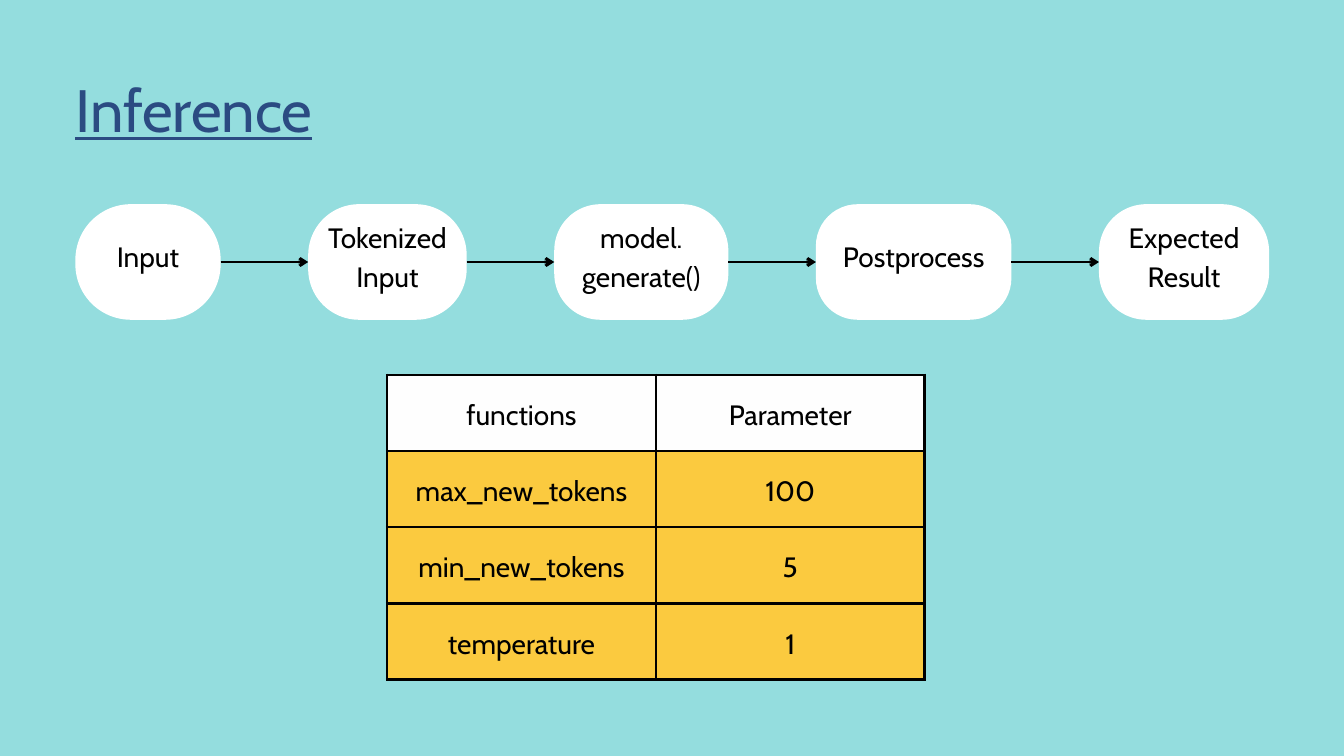
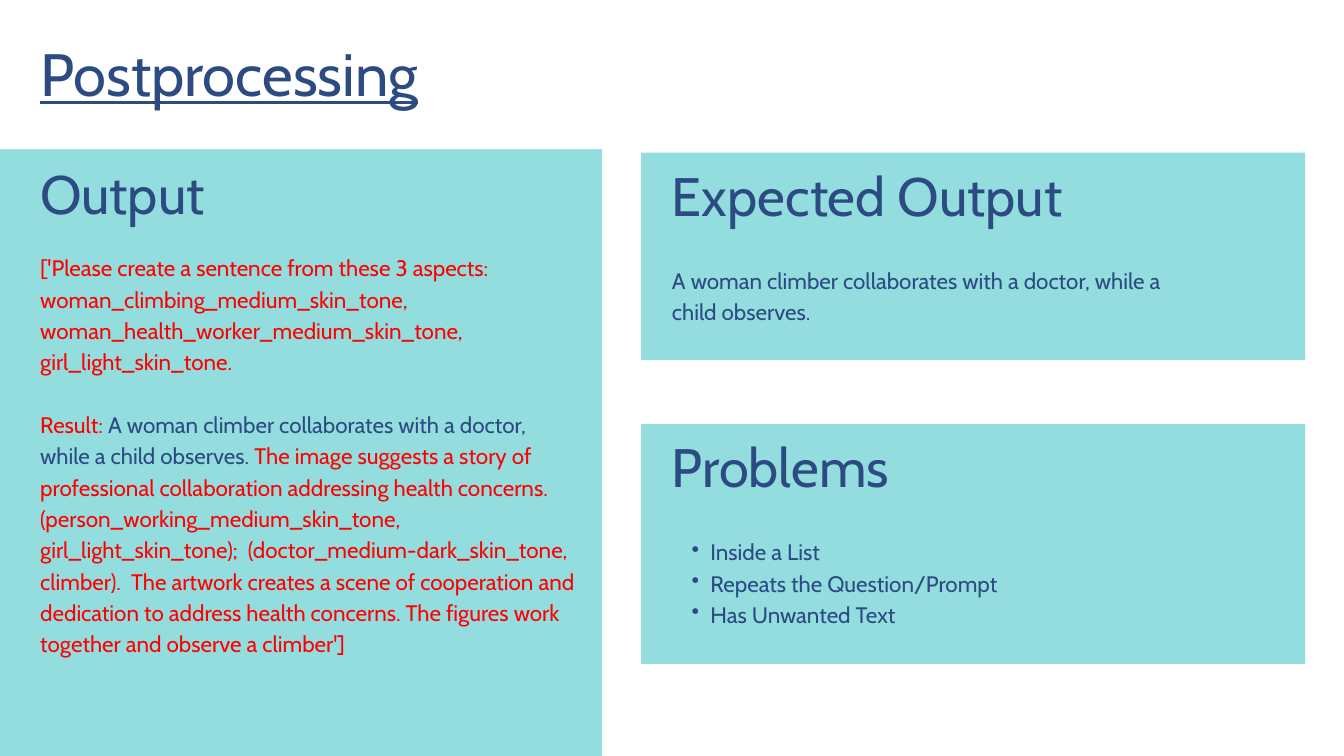
from lxml.etree import SubElement
from pptx import Presentation
from pptx.dml.color import RGBColor
from pptx.enum.shapes import MSO_CONNECTOR, MSO_SHAPE
from pptx.enum.text import MSO_ANCHOR, PP_ALIGN
from pptx.oxml import parse_xml
from pptx.oxml.ns import nsdecls, qn
from pptx.util import Cm, Pt

TEAL = RGBColor(0x94, 0xDD, 0xDE)
NAVY = RGBColor(0x2B, 0x4B, 0x82)
GOLD = RGBColor(0xFB, 0xCA, 0x3F)
RED = RGBColor(0xFF, 0x00, 0x00)
BLACK = RGBColor(0x00, 0x00, 0x00)
WHITE = RGBColor(0xFF, 0xFF, 0xFF)
PALE = RGBColor(0xFE, 0xFE, 0xFE)
FONT = "Cabin"
TITLE, HEAD, LABEL, BODY = 64, 58, 30, 24


def write(frame, paras, size, color=NAVY, align=PP_ALIGN.LEFT, bullet=False):
    """Fill a frame; a paragraph is a string or a list of (text, colour) runs."""
    for i, runs in enumerate(paras):
        para = frame.paragraphs[0] if i == 0 else frame.add_paragraph()
        para.alignment = align
        para.line_spacing = Pt(size * (1.05 if size > 40 else 1.4))
        if bullet:
            props = para._p.get_or_add_pPr()
            props.set("marL", str(Cm(1.45)))
            props.set("indent", str(-Cm(0.71)))
            SubElement(props, qn("a:buChar"), char="•")
        font = para.font
        font.name, font.size, font.color.rgb = FONT, Pt(size), color
        font.underline = size == TITLE
        if isinstance(runs, str):
            para.add_run().text = runs
        else:
            for words, tint in runs:
                run = para.add_run()
                run.text = words
                run.font.color.rgb = tint


def add_text(slide, left, top, height, paras, size, **style):
    frame = slide.shapes.add_textbox(Cm(left), Cm(top), Cm(20.32), Cm(height)).text_frame
    frame.word_wrap = True
    frame.margin_left = frame.margin_right = frame.margin_top = frame.margin_bottom = 0
    write(frame, paras, size, **style)


deck = Presentation()
deck.slide_width, deck.slide_height = Cm(50.8), Cm(28.58)
slides = []
for title, left, top in [("Inference", 2.85, 3.1), ("Postprocessing", 1.52, 1.73)]:
    slide = deck.slides.add_slide(deck.slide_layouts[6])
    slide.background.fill.solid()
    slide.background.fill.fore_color.rgb = TEAL
    slides.append((slide, title, left, top))

# Slide 1: steps joined by arrows
slide, title, left, top = slides[0]
add_text(slide, left, top, 2.46, [title], TITLE)

steps = [
    (["Input"], 5.49, 0.48),
    (["Tokenized", "Input"], 5.99, 0.44),
    (["model.", "generate()"], 6.58, 0.4),
    (["Postprocess"], 7.39, 0.36),
    (["Expected", "Result"], 6.43, 0.41),
]
gap = 3.31
last = None
for lines, width, bend in steps:
    step = slide.shapes.add_shape(
        MSO_SHAPE.ROUNDED_RECTANGLE, Cm(left), Cm(7.72), Cm(width), Cm(4.37))
    step.adjustments[0] = bend
    step.shadow.inherit = False
    step.fill.solid()
    step.fill.fore_color.rgb = WHITE
    step.line.fill.background()
    frame = step.text_frame
    frame.word_wrap = False
    frame.vertical_anchor = MSO_ANCHOR.MIDDLE
    frame.margin_left = frame.margin_right = frame.margin_top = 0
    frame.margin_bottom = Cm(0.61)
    write(frame, lines, LABEL, BLACK, PP_ALIGN.CENTER)
    if last is not None:
        arrow = slide.shapes.add_connector(MSO_CONNECTOR.STRAIGHT, 0, 0, 0, 0)
        arrow.begin_connect(last, 3)
        arrow.end_connect(step, 1)
        arrow.line.color.rgb = BLACK
        arrow.line.width = Pt(3)
        SubElement(arrow.line._get_or_add_ln(), qn("a:tailEnd"), type="arrow")
        SubElement(arrow._element.spPr, qn("a:effectLst"))
    last = step
    left += width + gap

# Slide 1: generation settings
rows = [
    ("functions", "Parameter"),
    ("max_new_tokens", "100"),
    ("min_new_tokens", "5"),
    ("temperature", "1"),
]
table = slide.shapes.add_table(
    len(rows), 2, Cm(14.63), Cm(14.17), Cm(20.32), Cm(11.52)).table
for r, row in enumerate(rows):
    for c, words in enumerate(row):
        cell = table.cell(r, c)
        for side in ("lnL", "lnR", "lnT", "lnB"):
            cell._tc.get_or_add_tcPr().append(parse_xml(
                f'<a:{side} {nsdecls("a")} w="{Pt(3)}"><a:solidFill>'
                f'<a:srgbClr val="{BLACK}"/></a:solidFill></a:{side}>'))
        cell.fill.solid()
        cell.fill.fore_color.rgb = GOLD if r else PALE
        cell.vertical_anchor = MSO_ANCHOR.MIDDLE
        cell.margin_left = cell.margin_right = Cm(0.53)
        cell.margin_top = cell.margin_bottom = Cm(0.53)
        write(cell.text_frame, [words], LABEL, BLACK, PP_ALIGN.CENTER)

# Slide 2: white areas with teal panels
slide, title, left, top = slides[1]
for x, y, width, height, color in [
    (22.76, 0, 28.04, 28.58, WHITE),
    (0, 0, 22.76, 5.64, WHITE),
    (24.23, 5.77, 25.1, 7.85, TEAL),
    (24.23, 16.03, 25.1, 9.07, TEAL),
]:
    panel = slide.shapes.add_shape(
        MSO_SHAPE.RECTANGLE, Cm(x), Cm(y), Cm(width), Cm(height))
    panel.shadow.inherit = False
    panel.fill.solid()
    panel.fill.fore_color.rgb = color
    panel.line.fill.background()

add_text(slide, left, top, 2.46, [title], TITLE)
for head, x, y in [
    ("Output", left, 6.38), ("Expected Output", 25.4, 6.45), ("Problems", 25.4, 16.69)
]:
    add_text(slide, x, y, 2.25, [head], HEAD)

answer = "A woman climber collaborates with a doctor, while a child observes."
prompt = (
    "['Please create a sentence from these 3 aspects: woman_climbing_medium_skin_tone, "
    "woman_health_worker_medium_skin_tone, girl_light_skin_tone."
)
extra = (
    "The image suggests a story of professional collaboration addressing health concerns.  "
    "(person_working_medium_skin_tone, girl_light_skin_tone);  "
    "(doctor_medium-dark_skin_tone, climber).  The artwork creates a scene of cooperation "
    "and dedication to address health concerns. The figures work together and observe a "
    "climber']"
)
result = [("Result: ", RED), (answer + " ", NAVY), (extra, RED)]
add_text(slide, left, 9.45, 16.26, [prompt, result], BODY, color=RED)
slide.shapes[-1].text_frame.paragraphs[1].space_before = Pt(33.6)

add_text(slide, 25.4, 9.93, 2.26, [answer], BODY)
add_text(slide, 25.4, 20.19, 3.45,
         ["Inside a List", "Repeats the Question/Prompt", "Has Unwanted Text"],
         BODY, bullet=True)

deck.save("out.pptx")
